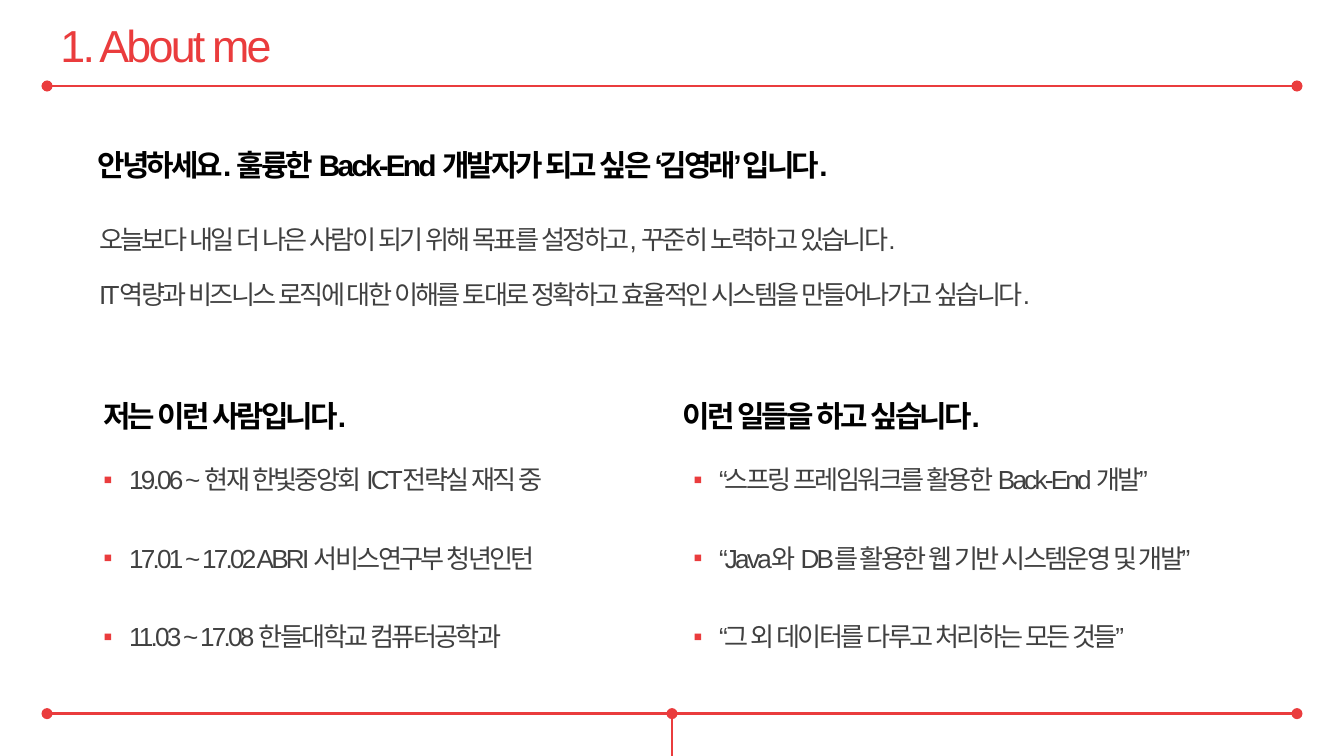
"""Build the "About me" slide: a title, an introduction and two bulleted columns."""
from lxml.etree import SubElement
from pptx import Presentation
from pptx.dml.color import RGBColor
from pptx.enum.lang import MSO_LANGUAGE_ID
from pptx.enum.shapes import MSO_CONNECTOR
from pptx.enum.text import MSO_ANCHOR, MSO_AUTO_SIZE, PP_ALIGN
from pptx.oxml.ns import qn
from pptx.util import Inches, Pt

COLORS = {"accent": "EA3C3D", "heading": "000000", "body": "404040"}
FONT = "Arial"
WIDTH = 10
HEIGHT = WIDTH * 9 / 16
MARGIN = 0.35
TOP_RULE, BOTTOM_RULE = 0.64, 5.31
HEADING_TOP, LIST_TOP = 2.71, 3.05
HEADING_HEIGHT, LIST_HEIGHT = 0.5, 1.76
INDENT = 0.19

STYLES = {
    "title": {"size": 24, "color": "accent", "spacing": 1, "align": PP_ALIGN.JUSTIFY},
    "heading": {"size": 16, "color": "heading", "spacing": 1.75, "bold": True},
    "body": {"size": 14, "color": "body", "spacing": 1.75},
    "list": {"size": 14, "color": "body", "spacing": 2.5, "bullet": "▪"},
}

TITLE = "1. About me"
GREETING = "안녕하세요. 훌륭한 Back-End 개발자가 되고 싶은 ‘김영래’ 입니다."
INTRODUCTION = [
    "오늘보다 내일 더 나은 사람이 되기 위해 목표를 설정하고, 꾸준히 노력하고 있습니다.",
    "IT역량과 비즈니스 로직에 대한 이해를 토대로 정확하고 효율적인 시스템을 만들어나가고 싶습니다.",
]
COLUMNS = [
    {
        "heading": "저는 이런 사람입니다.",
        "heading_span": (0.67, 2.19),
        "list_span": (0.67, 3.67),
        "items": [
            "19.06 ~ 현재 한빛중앙회 ICT전략실 재직 중",
            "17.01 ~ 17.02 ABRI 서비스연구부 청년인턴",
            "11.03 ~ 17.08 한들대학교 컴퓨터공학과",
        ],
    },
    {
        "heading": "이런 일들을 하고 싶습니다.",
        "heading_span": (4.98, 2.65),
        "list_span": (5.06, 4.11),
        "items": [
            "“스프링 프레임워크를 활용한 Back-End 개발”",
            "“Java와 DB를 활용한 웹 기반 시스템운영 및 개발”",
            "“그 외 데이터를 다루고 처리하는 모든 것들”",
        ],
    },
]


def add_bullet(para, mark):
    properties = para._p.get_or_add_pPr()
    properties.set("marL", str(Inches(INDENT)))
    properties.set("indent", str(-Inches(INDENT)))
    color = SubElement(properties, qn("a:buClr"))
    SubElement(color, qn("a:srgbClr"), val=COLORS["accent"])
    SubElement(properties, qn("a:buFont"), typeface=FONT)
    SubElement(properties, qn("a:buChar"), char=mark)


def add_span(para, text, style):
    span = para.add_run()
    span.text = text
    font = span.font
    font.name = FONT
    font.size = Pt(style["size"])
    font.bold = style.get("bold", False)
    font.color.rgb = RGBColor.from_string(COLORS[style["color"]])
    font.language_id = MSO_LANGUAGE_ID.KOREAN
    font._element.set("spc", "-150")
    SubElement(font._element, qn("a:ea"), typeface=FONT)


def fill_text(box, area, lines, style_name):
    style = STYLES[style_name]
    box.left, box.top, box.width, box.height = map(Inches, area)
    frame = box.text_frame
    frame.word_wrap = False
    frame.auto_size = MSO_AUTO_SIZE.SHAPE_TO_FIT_TEXT
    frame.vertical_anchor = MSO_ANCHOR.TOP
    for number, line in enumerate(lines):
        para = frame.add_paragraph() if number else frame.paragraphs[0]
        para.alignment = style.get("align", PP_ALIGN.LEFT)
        para.line_spacing = style["spacing"]
        para.space_before = Pt(0)
        if "bullet" in style:
            add_bullet(para, style["bullet"])
        add_span(para, line, style)


def add_rule(slide, start, end, dots):
    rule = slide.shapes.add_connector(MSO_CONNECTOR.STRAIGHT, *map(Inches, start + end))
    rule.line.color.rgb = RGBColor.from_string(COLORS["accent"])
    rule.line.width = Pt(1.25)
    outline = rule.line._get_or_add_ln()
    for dot in dots:
        SubElement(outline, qn(f"a:{dot}"), type="oval")
    SubElement(rule._element.spPr, qn("a:effectLst"))


def main():
    deck = Presentation()
    deck.slide_width, deck.slide_height = Inches(WIDTH), Inches(HEIGHT)
    slide = deck.slides.add_slide(deck.slide_layouts.get_by_name("Comparison"))
    title, *holders = slide.placeholders

    add_rule(slide, (WIDTH / 2, HEIGHT), (WIDTH / 2, BOTTOM_RULE), ["tailEnd"])
    for level in (BOTTOM_RULE, TOP_RULE):
        add_rule(slide, (MARGIN, level), (WIDTH - MARGIN, level), ["headEnd", "tailEnd"])

    fill_text(title, (MARGIN, 0.08, 1.88, 0.5), [TITLE], "title")
    greeting, introduction = (slide.shapes.add_textbox(0, 0, 0, 0) for _ in range(2))
    fill_text(greeting, (0.63, 0.84, 6.3, HEADING_HEIGHT), [GREETING], "heading")
    fill_text(introduction, (0.64, 1.44, 7.83, 0.93), INTRODUCTION, "body")

    for column, heading, items in zip(COLUMNS, holders[::2], holders[1::2]):
        left, width = column["heading_span"]
        fill_text(heading, (left, HEADING_TOP, width, HEADING_HEIGHT), [column["heading"]], "heading")
        left, width = column["list_span"]
        fill_text(items, (left, LIST_TOP, width, LIST_HEIGHT), column["items"], "list")

    deck.save("out.pptx")


if __name__ == "__main__":
    main()
